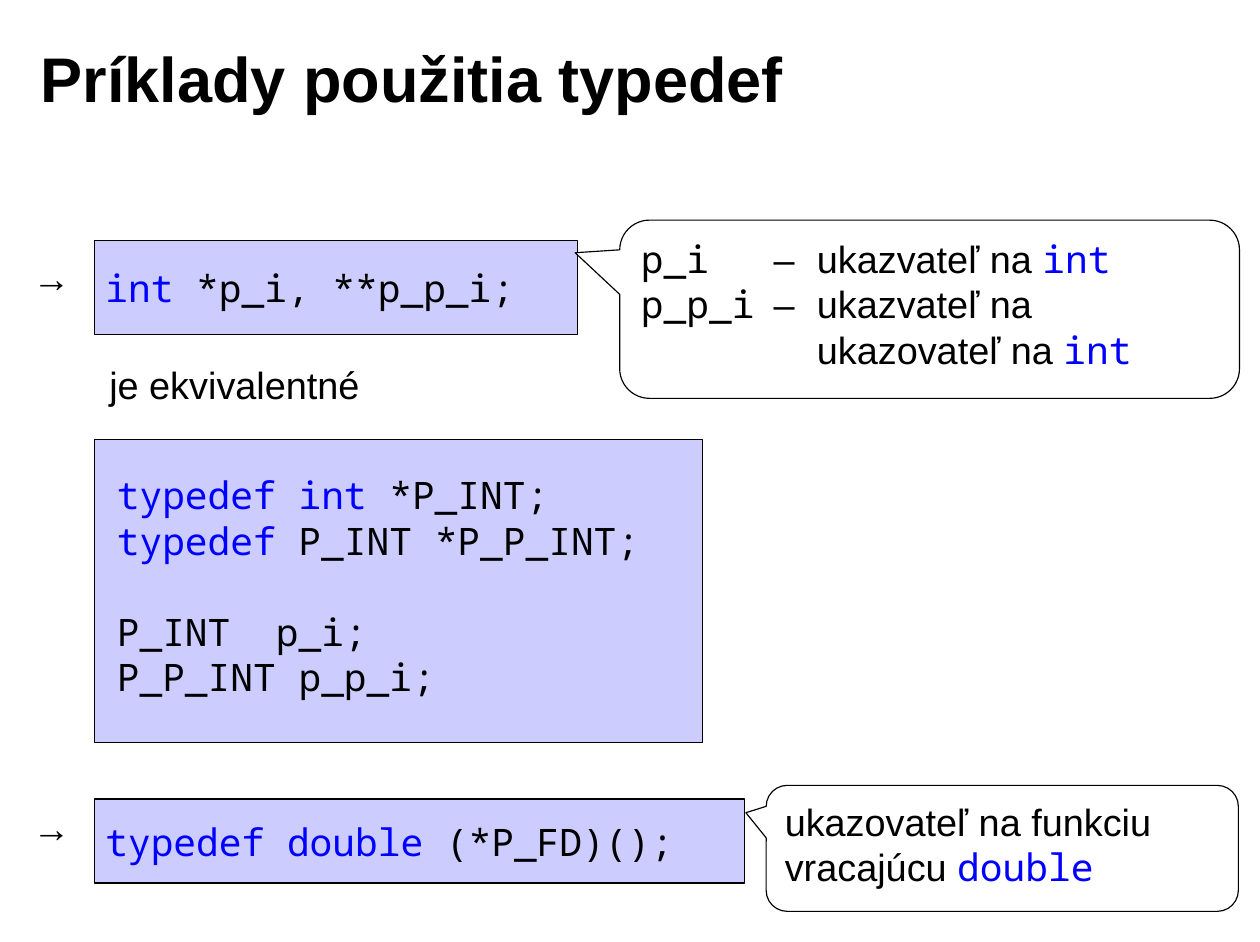
import pptx
import pptx.util
import pptx.dml.color
import pptx.enum.shapes
import pptx.enum.text
import pptx.oxml

Inches = pptx.util.Inches
Pt = pptx.util.Pt
SHAPE = pptx.enum.shapes.MSO_SHAPE
ANCHOR = pptx.enum.text.MSO_ANCHOR
ALIGN = pptx.enum.text.PP_ALIGN
NS = "http://schemas.openxmlformats.org/drawingml/2006/main"
BLACK, BLUE = "000000", "0000FF"
STYLES = {
    "key": ("Noto Sans Mono", BLUE),
    "code": ("Noto Sans Mono", BLACK),
    "text": ("Arial", BLACK),
    "arrow": ("Times New Roman", BLACK),
}


def color(code):
    """Turn a hex string into a colour."""
    return pptx.dml.color.RGBColor.from_string(code)


def add_tabs(para, stops):
    """Give a paragraph left tab stops, in inches."""
    if stops:
        tabs = "".join(f'<a:tab pos="{Inches(stop)}" algn="l"/>' for stop in stops)
        props = para._p.get_or_add_pPr()
        props.append(pptx.oxml.parse_xml(f'<a:tabLst xmlns:a="{NS}">{tabs}</a:tabLst>'))


def write(frame, lines, insets=(0.1, 0.05, 0.1, 0.05), anchor=ANCHOR.TOP,
          wrap=False, align=ALIGN.LEFT, size=24, bold=False, stops=()):
    """Fill a text frame with lines made of (style, text) runs."""
    frame.word_wrap = wrap
    frame.vertical_anchor = anchor
    (frame.margin_left, frame.margin_top,
     frame.margin_right, frame.margin_bottom) = map(Inches, insets)
    for index, line in enumerate(lines):
        para = frame.paragraphs[0] if index == 0 else frame.add_paragraph()
        para.alignment = align
        add_tabs(para, stops)
        for style, text in line:
            run = para.add_run()
            run.text = text
            name, tint = STYLES[style]
            run.font.name = name
            run.font.size = Pt(size)
            run.font.bold = bold
            run.font.color.rgb = color(tint)


def add_label(slide, box, lines, **look):
    """Place plain text in a box."""
    label = slide.shapes.add_textbox(*map(Inches, box))
    write(label.text_frame, lines, **look)


def add_panel(slide, kind, box, fill):
    """Place a filled shape with a thin black outline."""
    panel = slide.shapes.add_shape(kind, *map(Inches, box))
    panel.shadow.inherit = False
    panel.fill.solid()
    panel.fill.fore_color.rgb = color(fill)
    panel.line.color.rgb = color(BLACK)
    panel.line.width = Pt(0.75)
    return panel


def add_code(slide, box, lines, insets=(0.1, 0.05, 0.1, 0.05)):
    """Place a lilac panel of code."""
    panel = add_panel(slide, SHAPE.RECTANGLE, box, "CCCCFF")
    write(panel.text_frame, lines, insets, ANCHOR.MIDDLE)
    return panel


def add_item(slide, box, line, drop):
    """Place one line of code with an arrow to its left."""
    left, top = box[:2]
    add_code(slide, box, [line])
    add_label(slide, (left - 0.64, top + drop, 0.53, 0.51), [[("arrow", "→")]])


def add_note(slide, box, tip, lines, stops=()):
    """Place a speech bubble whose tip is given as shares of its size."""
    note = add_panel(slide, SHAPE.ROUNDED_RECTANGULAR_CALLOUT, box, "FFFFFF")
    for index, value in enumerate((*tip, 0.167)):
        note.adjustments[index] = value
    write(note.text_frame, lines, (0.11, 0.06, 0.11, 0.06), wrap=True, stops=stops)


def add_types(slide, box):
    """Place the typedef panel with a gap before the variables."""
    panel = add_code(slide, box, [
        [("key", "typedef int"), ("code", " *P_INT;")],
        [("key", "typedef"), ("code", " P_INT *P_P_INT;")],
        [("code", "P_INT  p_i;")],
        [("code", "P_P_INT p_p_i;")],
    ], (0.2, 0.05, 0.1, 0.14))
    panel.text_frame.paragraphs[2].space_before = Pt(29)


def main():
    """Build the slide and save it."""
    deck = pptx.Presentation()
    deck.slide_width, deck.slide_height = Inches(11.1), Inches(8.3)
    slide = deck.slides.add_slide(deck.slide_layouts[6])
    pads = (0.11, 0.06, 0.11, 0.06)

    add_label(slide, (0.25, 0.17, 8.92, 1.02), [[("text", "Príklady použitia typedef")]],
              insets=pads, anchor=ANCHOR.MIDDLE, wrap=True, size=40, bold=True)
    add_item(slide, (0.83, 2.12, 4.26, 0.83),
             [("key", "int"), ("code", " *p_i, **p_p_i;")], 0.07)
    add_label(slide, (0.84, 3.13, 2.45, 0.52), [[("text", "je ekvivalentné")]],
              insets=pads, align=ALIGN.CENTER)
    add_types(slide, (0.83, 3.87, 5.36, 2.67))
    add_item(slide, (0.83, 7.04, 5.73, 0.74),
             [("key", "typedef double"), ("code", " (*P_FD)();")], 0)
    add_note(slide, (5.46, 1.94, 5.46, 1.57), (-0.572, -0.317), [
        [("code", "p_i"), ("text", "\t–\tukazvateľ na "), ("key", "int")],
        [("code", "p_p_i"), ("text", "\t–\tukazvateľ na")],
        [("text", "\t\tukazovateľ na "), ("key", "int")],
    ], (1.17, 1.55))
    add_note(slide, (6.75, 6.92, 4.16, 1.11), (-0.543, -0.283), [
        [("text", "ukazovateľ na funkciu")],
        [("text", "vracajúcu "), ("key", "double")],
    ])
    deck.save("out.pptx")


if __name__ == "__main__":
    main()
